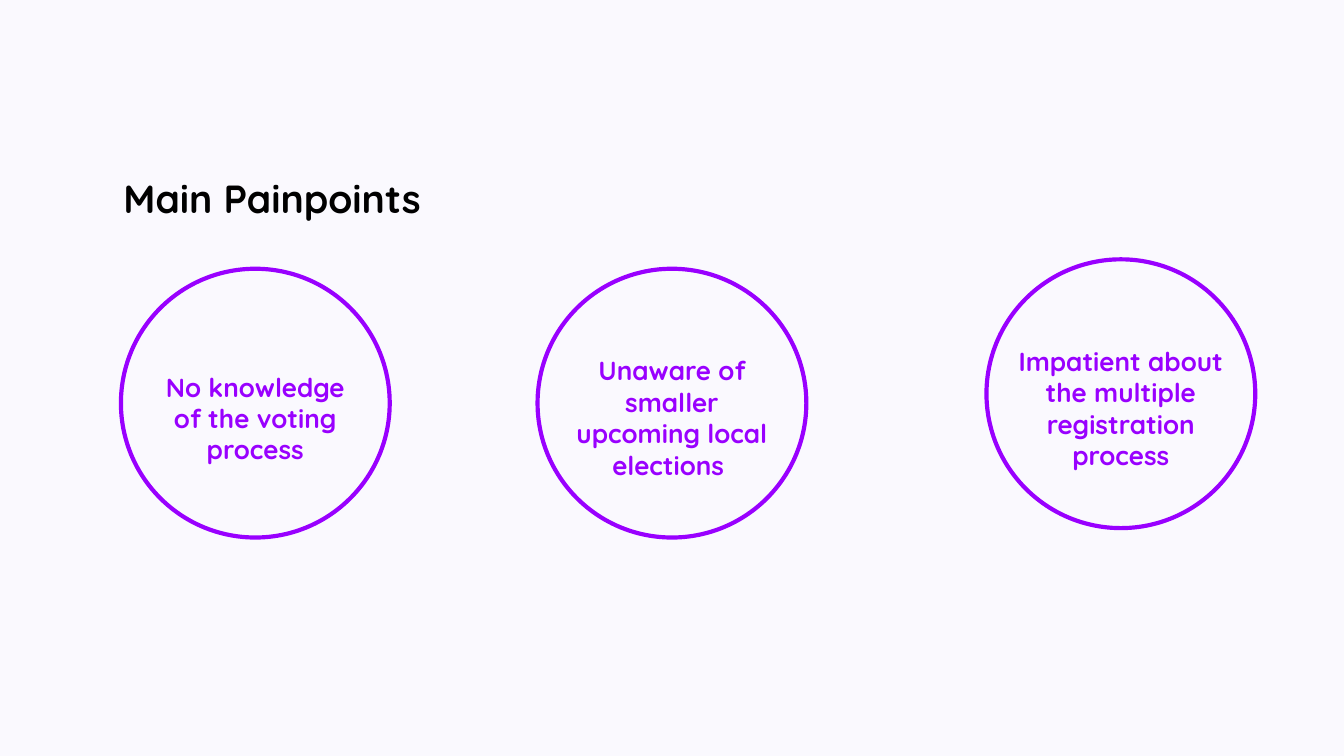
"""Build the slide of three circled voter painpoints."""
from pptx import Presentation
from pptx.dml.color import RGBColor
from pptx.enum.shapes import MSO_SHAPE
from pptx.enum.text import MSO_ANCHOR, PP_ALIGN
from pptx.util import Inches, Pt

BACKGROUND = RGBColor(0xFA, 0xF9, 0xFE)
PURPLE = RGBColor(0x99, 0x00, 0xFF)
BLACK = RGBColor(0x00, 0x00, 0x00)
FONT = "Quicksand"

presentation = Presentation()
presentation.slide_width = Inches(10)
presentation.slide_height = presentation.slide_width * 9 // 16
column = row = presentation.slide_width // 100

slide = presentation.slides.add_slide(presentation.slide_layouts[6])
slide.background.fill.solid()
slide.background.fill.fore_color.rgb = BACKGROUND


def add_text(text, left, top, width, height, size, color, alignment):
    box = slide.shapes.add_textbox(
        int(left * column), int(top * row), int(width * column), int(height * row)
    )
    frame = box.text_frame
    frame.word_wrap = True
    frame.vertical_anchor = MSO_ANCHOR.TOP
    frame.margin_left = frame.margin_right = column
    frame.margin_top = frame.margin_bottom = row
    frame.text = text
    paragraph = frame.paragraphs[0]
    paragraph.alignment = alignment
    font = paragraph.runs[0].font
    font.name = FONT
    font.size = Pt(size)
    font.bold = True
    font.color.rgb = color


add_text("Main Painpoints", 8.2, 12, 27.5, 6.2, 21, BLACK, PP_ALIGN.LEFT)

diameter = 20
text_width = 17.4
text_inset = (diameter - text_width) / 2

painpoints = [
    ("No knowledge of the voting process", 9, 20, 26.6),
    ("Unaware of smaller upcoming local elections ", 40, 20, 25.4),
    ("Impatient about the multiple registration process", 73.4, 19.3, 24.7),
]

for text, left, top, text_top in painpoints:
    circle = slide.shapes.add_shape(
        MSO_SHAPE.OVAL,
        int(left * column), int(top * row), diameter * column, diameter * row,
    )
    circle.shadow.inherit = False
    circle.fill.background()
    circle.line.color.rgb = PURPLE
    circle.line.width = Pt(2.25)
    add_text(text, left + text_inset, text_top, text_width, 6.9, 14, PURPLE, PP_ALIGN.CENTER)

presentation.save("out.pptx")
